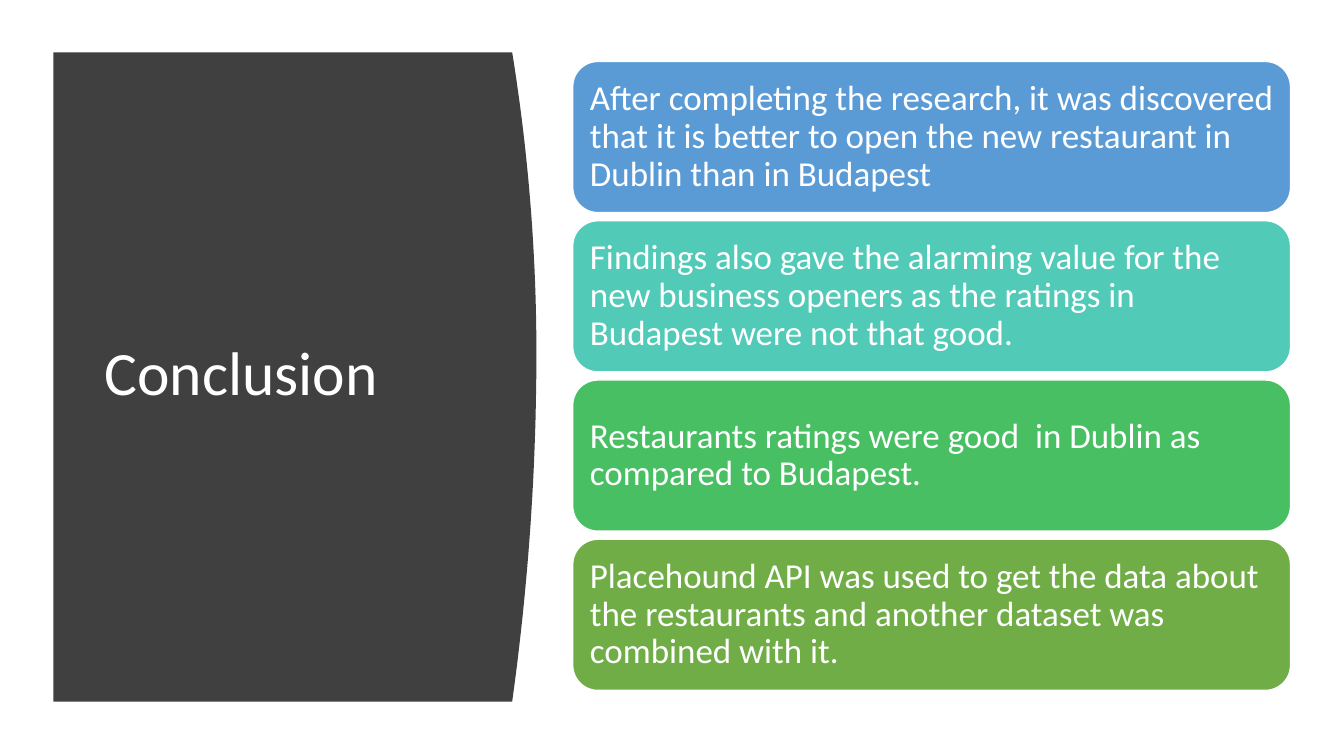
from dataclasses import dataclass

from lxml.etree import _Element as Element
from pptx import Presentation
from pptx.dml.color import RGBColor
from pptx.enum.shapes import MSO_SHAPE as Shape
from pptx.enum.text import MSO_ANCHOR as Anchor, PP_ALIGN as Align
from pptx.slide import Slide
from pptx.text.text import TextFrame
from pptx.util import Inches, Pt

WHITE = RGBColor(0xFF, 0xFF, 0xFF)
CHARCOAL = RGBColor(0x40, 0x40, 0x40)
BLUE = RGBColor(0x5B, 0x9B, 0xD5)
TEAL = RGBColor(0x52, 0xCA, 0xB8)
GREEN = RGBColor(0x49, 0xBF, 0x64)
OLIVE = RGBColor(0x70, 0xAD, 0x47)

FONT = "Calibri"
PANEL_LEFT, PANEL_TOP, PANEL_BOTTOM = 0.53, 0.52, 6.96
EDGE_X, BULGE_X, BULGE_Y = 5.08, 5.32, 3.5
CURVE_STEPS = 48
CARD_LEFT, CARD_TOP, CARD_WIDTH, CARD_HEIGHT = 5.68, 0.61, 7.12, 1.5
CARD_PITCH = 1.58


@dataclass(frozen=True)
class Card:
    """One finding and its fill colour."""
    text: str
    color: RGBColor


CARDS = [
    Card("After completing the research, it was discovered that it is better "
         "to open the new restaurant in Dublin than in Budapest", BLUE),
    Card("Findings also gave the alarming value for the new business openers "
         "as the ratings in Budapest were not that good.", TEAL),
    Card("Restaurants ratings were good  in Dublin as compared to Budapest.",
         GREEN),
    Card("Placehound API was used to get the data about the restaurants and "
         "another dataset was combined with it.", OLIVE),
]


def write_text(tf: TextFrame, text: str, size: float, inset_y: float) -> None:
    """Set white, left-aligned, vertically centred text."""
    tf.word_wrap = True
    tf.vertical_anchor = Anchor.MIDDLE
    tf.margin_left = tf.margin_right = Inches(0.1)
    tf.margin_top = tf.margin_bottom = Inches(inset_y)
    p = tf.paragraphs[0]
    p.text = text
    p.alignment = Align.LEFT
    p.line_spacing = 0.9
    p.font.name = FONT
    p.font.size = Pt(size)
    p.font.color.rgb = WHITE


def curve_x(y: float) -> float:
    """Return the panel's right edge at height y, a parabola on each side."""
    end = PANEL_TOP if y < BULGE_Y else PANEL_BOTTOM
    t = (y - BULGE_Y) / (end - BULGE_Y)
    return BULGE_X - (BULGE_X - EDGE_X) * t ** 2


def add_panel(slide: Slide) -> None:
    """Draw the dark title panel with its bulging right edge."""
    step = (PANEL_BOTTOM - PANEL_TOP) / CURVE_STEPS
    heights = [PANEL_TOP + i * step for i in range(CURVE_STEPS + 1)]
    outline = [(curve_x(y), y) for y in heights]
    outline.append((PANEL_LEFT, PANEL_BOTTOM))
    builder = slide.shapes.build_freeform(Inches(PANEL_LEFT), Inches(PANEL_TOP))
    builder.add_line_segments([(Inches(x), Inches(y)) for x, y in outline])
    s = builder.convert_to_shape()
    s.shadow.inherit = False
    s.fill.solid()
    s.fill.fore_color.rgb = CHARCOAL
    s.line.fill.background()


def add_title(slide: Slide, text: str) -> None:
    """Place the title over the panel."""
    s = slide.shapes.add_textbox(
        Inches(0.94), Inches(1.11), Inches(3.74), Inches(5.24))
    write_text(s.text_frame, text, 44, 0.05)


def add_card(slide: Slide, card: Card, top: float) -> None:
    """Draw one rounded card holding its finding."""
    s = slide.shapes.add_shape(
        Shape.ROUNDED_RECTANGLE, Inches(CARD_LEFT), Inches(top),
        Inches(CARD_WIDTH), Inches(CARD_HEIGHT))
    s.shadow.inherit = False
    s.fill.solid()
    s.fill.fore_color.rgb = card.color
    s.line.color.rgb = WHITE
    s.line.width = Pt(1)
    write_text(s.text_frame, card.text, 25, 0.1)


def main() -> None:
    """Build and save the slide."""
    prs = Presentation()
    prs.slide_width, prs.slide_height = Inches(13.33), Inches(7.5)
    slide = prs.slides.add_slide(prs.slide_layouts[6])
    add_panel(slide)
    add_title(slide, "Conclusion")
    for i, card in enumerate(CARDS):
        add_card(slide, card, CARD_TOP + i * CARD_PITCH)
    prs.save("out.pptx")


main()
